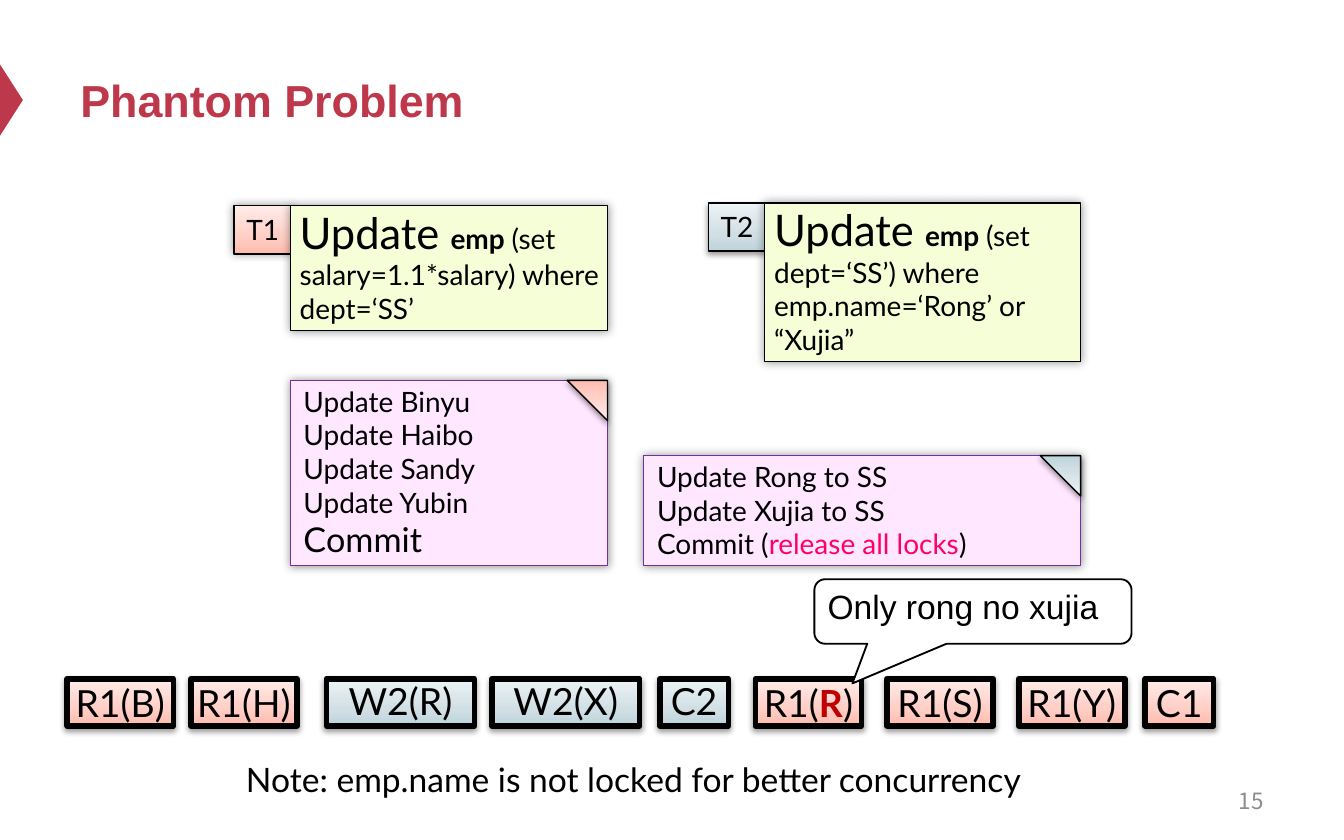
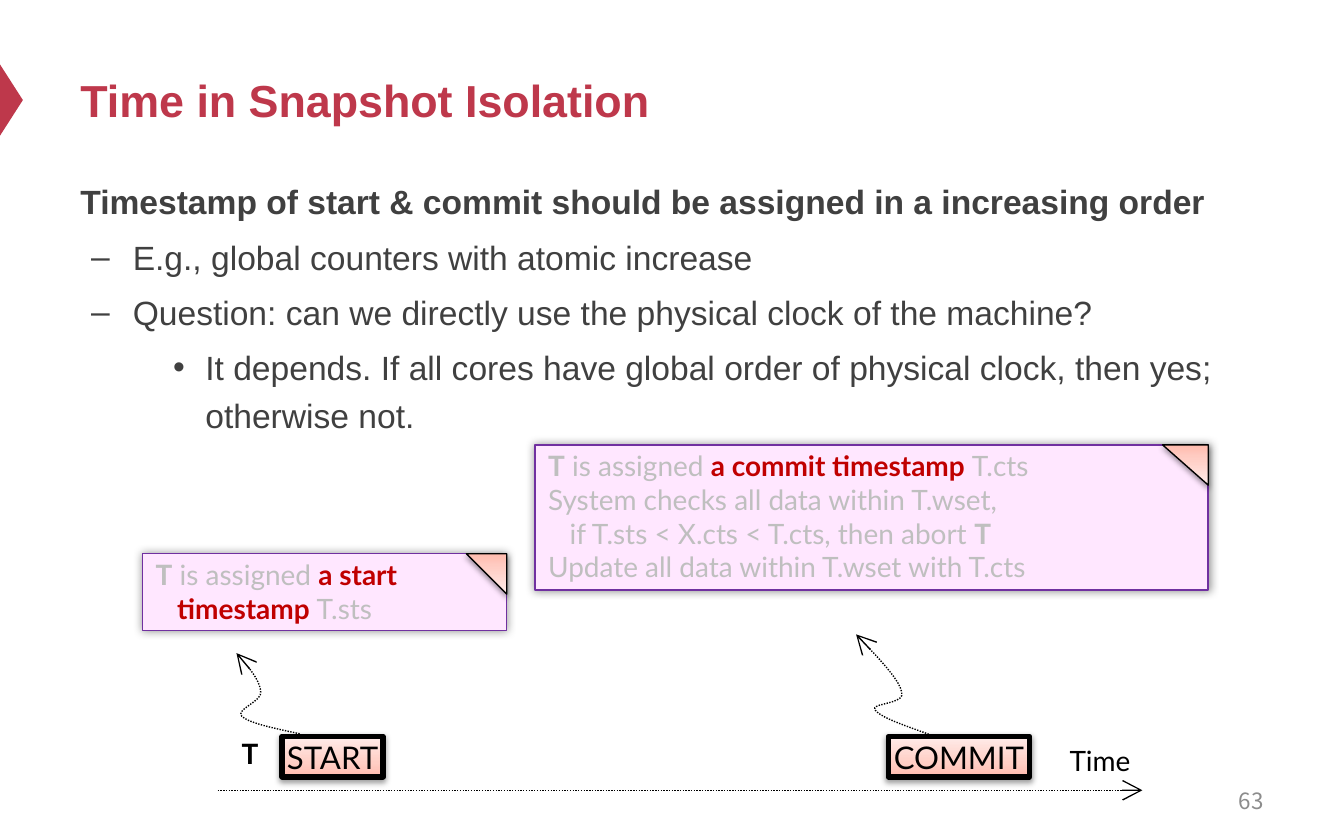
import dataclasses

import pptx
import pptx.dml.color
import pptx.enum.dml
import pptx.enum.shapes
import pptx.enum.text
import pptx.oxml.ns
import pptx.util
from lxml import etree

Inches, Pt = pptx.util.Inches, pptx.util.Pt
qn = pptx.oxml.ns.qn
Shape = pptx.enum.shapes.MSO_SHAPE
Anchor = pptx.enum.text.MSO_ANCHOR
Align = pptx.enum.text.PP_ALIGN


@dataclasses.dataclass(frozen=True)
class Theme:
    # Colours
    brand: str = "BE384B"
    black: str = "000000"
    white: str = "FFFFFF"
    body: str = "404040"
    page: str = "8C8C8C"
    faded: str = "BFBFBF"
    alert: str = "C00000"
    pink: str = "FF0066"
    query: str = "F5FED6"
    note: str = "FFE7FF"
    edge: str = "7030A0"
    # Gradients as (position, colour)
    red: tuple = ((0, "FFBBAE"), (35, "FFCEC5"), (100, "FFECE9"))
    blue: tuple = ((0, "BDD3DB"), (35, "D1DFE5"), (100, "EDF3F5"))
    # Shadows as (opacity, blur, distance, angle)
    glow: tuple = (40, 5, 0, 0)
    drop: tuple = (38, 3.1, 1.6, 90)
    # Fonts and sizes
    head: str = "Arial"
    hand: str = "Lato"
    digit: str = "Noto Sans CJK SC"
    title: float = 24
    large: float = 23.3
    chip: float = 20
    main: float = 18
    done: float = 18.3
    event: float = 16.7
    small: float = 15
    foot: float = 12


T = Theme()


def rgb(code):
    return pptx.dml.color.RGBColor.from_string(code)


def write(frame, runs, align=None, space=None, before=None, mark=None,
          indent=None, **base):
    """Add one paragraph; a run is a string or (string, format changes)."""
    para = frame.paragraphs[-1]
    if para.runs:
        para = frame.add_paragraph()
    props = para._p.get_or_add_pPr()
    if indent:
        left, hang = indent
        props.set("marL", str(Inches(left)))
        props.set("indent", str(Inches(-hang)))
    if mark:
        etree.SubElement(props, qn("a:buFont"), typeface=T.head)
        etree.SubElement(props, qn("a:buChar"), char=mark)
    para.alignment, para.line_spacing = align, space
    if before:
        para.space_before = Pt(before)
    for item in [runs] if isinstance(runs, str) else runs:
        words, change = (item, {}) if isinstance(item, str) else item
        form = dict(font=T.hand, size=T.small, color=T.black, bold=False)
        form.update(base, **change)
        for count, line in enumerate(words.split("\n")):
            if count:
                para.add_line_break()
            run = para.add_run()
            run.text = line
            run.font.name = form["font"]
            run.font.size = Pt(form["size"])
            run.font.bold = form["bold"]
            run.font.color.rgb = rgb(form["color"])


class Deck:
    def __init__(self, theme):
        self.theme = theme
        self.show = pptx.Presentation()
        self.show.slide_width, self.show.slide_height = Inches(10), Inches(6.25)
        self.slide = None

    def open(self, title, page):
        """Start a slide with its side mark, title and page number."""
        t = self.theme
        self.slide = self.show.slides.add_slide(self.show.slide_layouts[6])
        self.shape(Shape.ISOSCELES_TRIANGLE, (-0.18, 0.66, 0.53, 0.17),
                   t.brand, None, turn=90)
        self.text((0.5, 0.25, 9, 0.98), title, anchor=Anchor.MIDDLE,
                  font=t.head, size=t.title, color=t.brand, bold=True)
        self.text((7.17, 5.79, 2.33, 0.33), str(page), anchor=Anchor.MIDDLE,
                  align=Align.RIGHT, font=t.digit, size=t.foot, color=t.page)

    def frame(self, shape, anchor, pads, wrap=True):
        frame = shape.text_frame
        frame.word_wrap, frame.vertical_anchor = wrap, anchor
        (frame.margin_left, frame.margin_top,
         frame.margin_right, frame.margin_bottom) = map(Inches, pads)
        return frame

    def text(self, spot, *paras, anchor=Anchor.TOP, **form):
        box = self.slide.shapes.add_textbox(*map(Inches, spot))
        frame = self.frame(box, anchor, (0.1, 0.05, 0.1, 0.05))
        for runs in paras:
            write(frame, runs, **form)
        return frame

    def shape(self, kind, spot, fill, edge=T.black, width=0.75, shade=None,
              turn=0):
        item = self.slide.shapes.add_shape(kind, *map(Inches, spot))
        item.rotation = turn
        if isinstance(fill, str):
            item.fill.solid()
            item.fill.fore_color.rgb = rgb(fill)
        else:
            self.blend(item, fill)
        if edge:
            item.line.color.rgb = rgb(edge)
            item.line.width = Pt(width)
        else:
            item.line.fill.background()
        item.shadow.inherit = False
        if shade:
            self.shade(item, *shade)
        return item

    def blend(self, item, stops):
        item.fill.gradient()
        item.fill.gradient_angle = 90
        group = next(item._element.iter(qn("a:gsLst")))
        for old in list(group):
            group.remove(old)
        for place, code in stops:
            stop = etree.SubElement(group, qn("a:gs"), pos=str(place * 1000))
            etree.SubElement(stop, qn("a:srgbClr"), val=code)

    def shade(self, item, alpha, blur, gap, angle):
        group = next(item._element.iter(qn("a:effectLst")))
        cast = etree.SubElement(
            group, qn("a:outerShdw"), blurRad=str(Pt(blur)), dist=str(Pt(gap)),
            dir=str(angle * 60000), algn="ctr", rotWithShape="0")
        tint = etree.SubElement(cast, qn("a:srgbClr"), val=self.theme.black)
        etree.SubElement(tint, qn("a:alpha"), val=str(alpha * 1000))

    def chip(self, spot, runs, fill, size, width=3, shade=T.drop):
        """Small gradient label; blue ones have tight lines."""
        item = self.shape(Shape.RECTANGLE, spot, fill, width=width, shade=shade)
        tight = fill == self.theme.blue
        frame = self.frame(item, Anchor.MIDDLE,
                           (0.1, 0.03, 0.1, 0 if tight else 0.03), False)
        write(frame, runs, align=Align.CENTER, size=size,
              space=0.8 if tight else None)

    def query(self, spot, table, rest, tag, fill, shade):
        """Statement box with a tag at its left."""
        t = self.theme
        left, top = spot[:2]
        self.chip((left - 0.42, top, 0.43, 0.36), tag, fill, t.small, 0.75, shade)
        item = self.shape(Shape.RECTANGLE, spot, t.query, shade=t.glow)
        frame = self.frame(item, Anchor.TOP, (0.07, 0, 0.04, 0.03))
        write(frame, [("Update ", dict(size=t.large)),
                      (table, dict(bold=True)), rest])

    def note(self, spot, paras, fill, fold=0.3, **form):
        """Pink sheet with a folded corner."""
        t = self.theme
        left, top, wide, _ = spot
        item = self.shape(Shape.RECTANGLE, spot, t.note, t.edge, shade=t.glow)
        frame = self.frame(item, Anchor.TOP, (0.1, 0.03, 0.1, 0.03))
        for runs in paras:
            write(frame, runs, **form)
        self.shape(Shape.RIGHT_TRIANGLE, (left + wide - fold, top, fold, 0.3),
                   fill, shade=t.drop, turn=180)

    def point(self, item):
        """Dotted line with an arrowhead at its end."""
        item.line.color.rgb = rgb(self.theme.black)
        item.line.width = Pt(0.75)
        item.line.dash_style = pptx.enum.dml.MSO_LINE.ROUND_DOT
        edge = next(item._element.iter(qn("a:ln")))
        etree.SubElement(edge, qn("a:tailEnd"), type="arrow", w="lg", len="lg")

    def arrow(self, start, end):
        item = self.slide.shapes.add_connector(
            pptx.enum.shapes.MSO_CONNECTOR.STRAIGHT, *map(Inches, start + end))
        self.point(item)
        etree.SubElement(item._element.spPr, qn("a:effectLst"))

    def curve(self, knots, steps=10):
        """Arrow along joined cubic curves, four knots to a curve."""
        dots = []
        for first in range(0, len(knots) - 1, 3):
            for step in range(1, steps + 1):
                u = step / steps
                parts = ((1 - u) ** 3, 3 * u * (1 - u) ** 2,
                         3 * u * u * (1 - u), u ** 3)
                dots.append([Inches(sum(p * k[axis] for p, k in
                                        zip(parts, knots[first:first + 4])))
                             for axis in (0, 1)])
        pen = self.slide.shapes.build_freeform(*map(Inches, knots[0]))
        pen.add_line_segments(dots, close=False)
        item = pen.convert_to_shape()
        item.fill.background()
        item.shadow.inherit = False
        self.point(item)


def phantom(deck):
    deck.open("Phantom Problem", 15)

    # Statements and what they run
    deck.query((2.16, 1.53, 2.36, 0.93), "emp ",
               "(set salary=1.1*salary) where dept=‘SS’", "T1", T.red, T.glow)
    deck.query((5.69, 1.51, 2.35, 1.18), "emp ",
               "(set dept=‘SS’) where emp.name=‘Rong’ or “Xujia”",
               "T2", T.blue, T.drop)
    names = ("Binyu", "Haibo", "Sandy", "Yubin")
    deck.note((2.16, 2.83, 2.36, 1.38),
              [f"Update {name}" for name in names]
              + [[("Commit", dict(size=T.done))]], T.red)
    deck.note((4.79, 3.39, 3.25, 0.82),
              ["Update Rong to SS", "Update Xujia to SS",
               ["Commit (", ("release all locks", dict(color=T.pink)), ")"]],
              T.blue)

    # Schedule: the digit gives the colour, the letter the width
    wide = {"R": 0.79, "W": 1.1, "C": 0.51}
    plan = (("R1(B)", 0.5), ("R1(H)", 1.42), ("W2(R)", 2.43), ("W2(X)", 3.66),
            ("C2", 4.91), ("R1(R)", 5.62), ("R1(S)", 6.6), ("R1(Y)", 7.58),
            ("C1", 8.52))
    for name, left in plan:
        runs = name
        if name == "R1(R)":
            runs = ["R1(", ("R", dict(color=T.alert, bold=True)), ")"]
        deck.chip((left, 5.05, wide[name[0]], 0.35), runs,
                  T.red if name[1] == "1" else T.blue, T.chip)

    # Remarks
    bubble = deck.shape(Shape.ROUNDED_RECTANGULAR_CALLOUT,
                        (6.06, 4.31, 2.36, 0.48), T.white, width=1)
    for place, value in enumerate((-0.38, 1.115, 0.167)):
        bubble.adjustments[place] = value
    deck.text((6.06, 4.31, 2.51, 0.4), "Only rong no xujia",
              font=T.head, size=T.main)
    deck.text((0.98, 5.6, 7.47, 0.4),
              "Note: emp.name is not locked for better concurrency",
              align=Align.CENTER, size=T.main)


def snapshot(deck):
    deck.open("Time in Snapshot Isolation", 63)

    # Body text
    form = dict(font=T.head, size=T.main, color=T.body, space=1.2)
    frame = deck.text(
        (0.5, 1.24, 9, 4.12),
        "Timestamp of start & commit should be assigned in a increasing order",
        bold=True, **form)
    dash = dict(mark="–", indent=(0.39, 0.31))
    dot = dict(mark="•", indent=(0.93, 0.24))
    for words, level in (
            ("E.g., global counters with atomic increase", dash),
            ("Question: can we directly use the physical clock of the machine?",
             dash),
            ("It depends. If all cores have global order of physical clock, "
             "then yes; otherwise not.", dot)):
        write(frame, words, before=3.6, **level, **form)

    # Time line
    deck.arrow((1.62, 5.88), (8.5, 5.88))
    deck.text((7.86, 5.48, 0.8, 0.35), "Time")
    deck.text((1.7, 5.43, 0.33, 0.35), "T", bold=True)
    for name, left, wide in (("START", 2.1, 0.75), ("COMMIT", 6.61, 1.05)):
        deck.chip((left, 5.48, wide, 0.3), name, T.red, T.event)

    # Steps taken at each event
    def stamp(kind, field):
        return [("T", dict(bold=True)), " is assigned ",
                (f"a {kind} timestamp ", dict(color=T.alert, bold=True)), field]

    faded = dict(color=T.faded, indent=(0.16, 0.16))
    deck.note((1.06, 4.12, 2.71, 0.57), [stamp("start", "T.sts")], T.red, **faded)
    deck.note((3.98, 3.31, 5.01, 1.08),
              [stamp("commit", "T.cts"),
               ["System checks all data within T.wset, \n"
                "if T.sts < X.cts < T.cts, then abort ", ("T", dict(bold=True))],
               "Update all data within T.wset with T.cts"],
              T.red, fold=0.34, **faded)
    deck.curve([(2.23, 5.46), (2.04, 5.42), (1.85, 5.38), (1.8, 5.33),
                (1.75, 5.28), (1.95, 5.22), (1.94, 5.15),
                (1.94, 5.07), (1.85, 4.96), (1.76, 4.86)])
    deck.curve([(6.93, 5.47), (6.74, 5.4), (6.55, 5.34), (6.51, 5.28),
                (6.48, 5.23), (6.74, 5.24), (6.71, 5.15),
                (6.69, 5.05), (6.53, 4.89), (6.37, 4.72)])


def main():
    deck = Deck(T)
    phantom(deck)
    snapshot(deck)
    deck.show.save("out.pptx")


if __name__ == "__main__":
    main()
